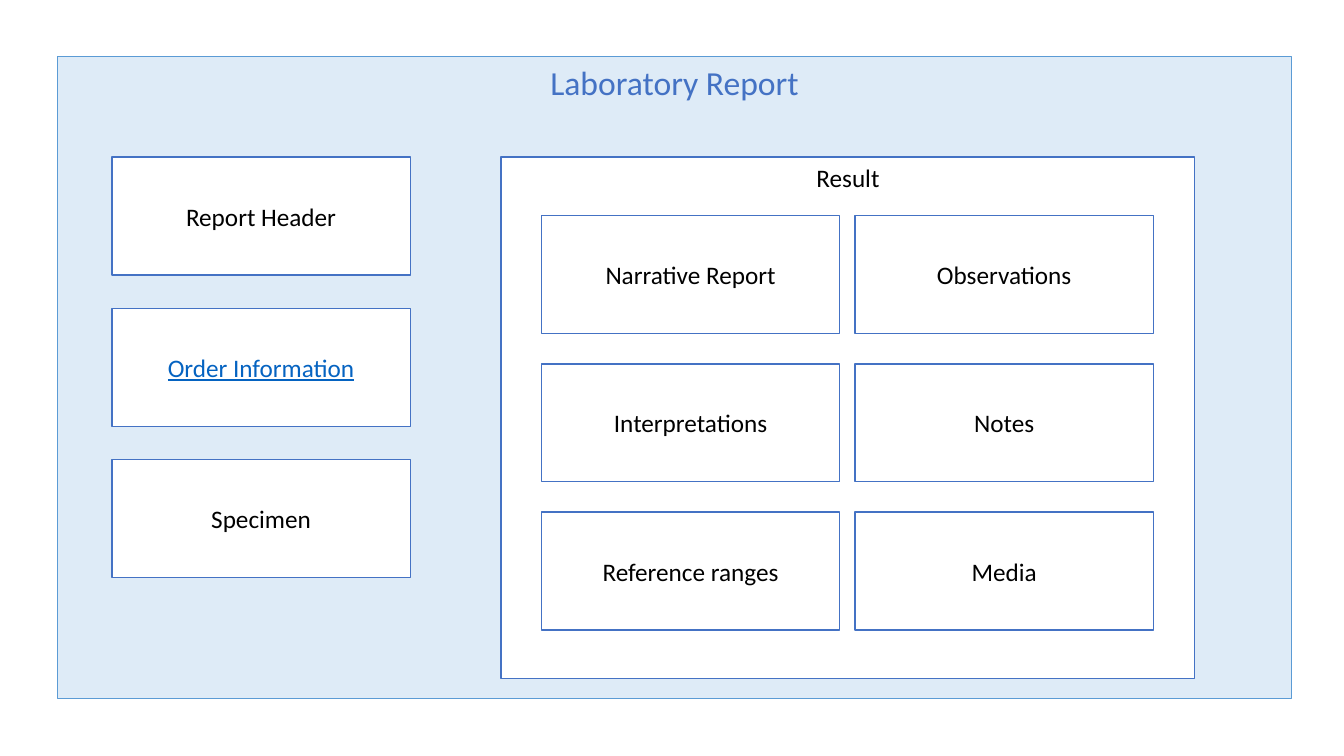
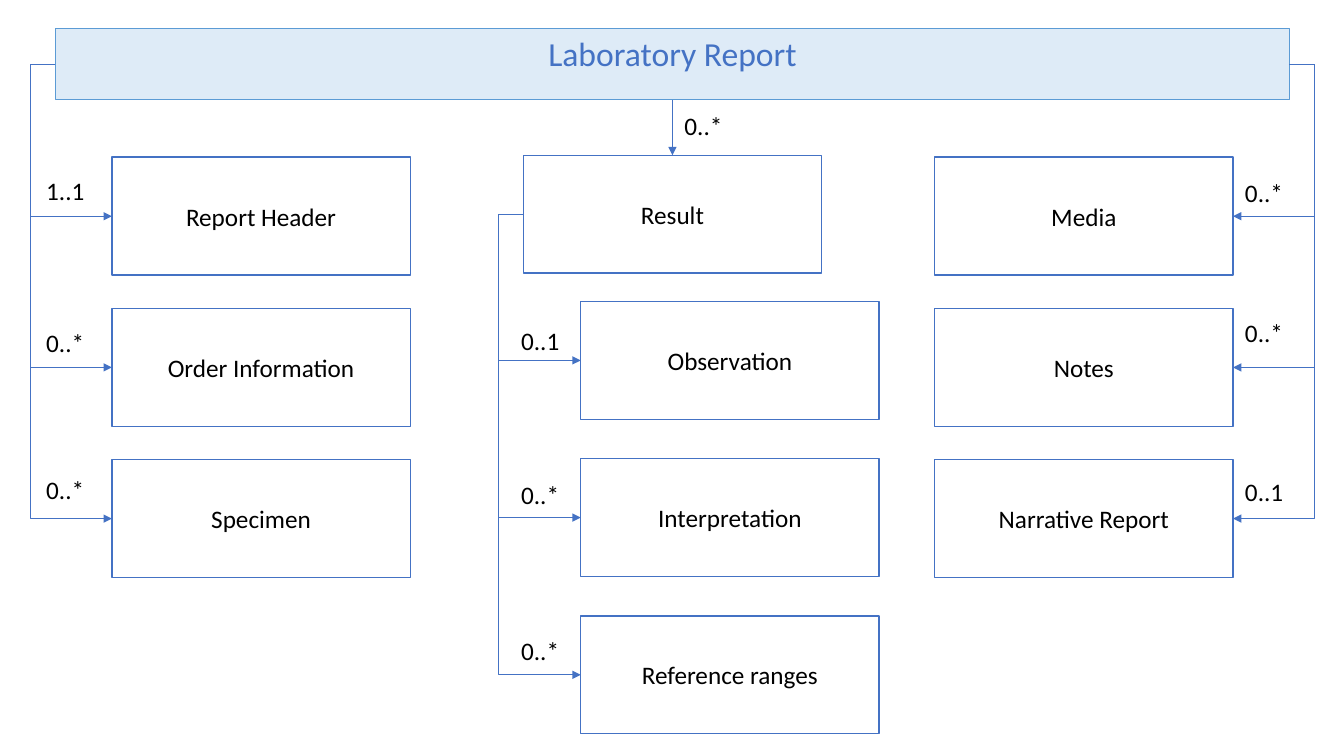
from pptx import Presentation
from pptx.dml.color import RGBColor
from pptx.enum.shapes import MSO_CONNECTOR, MSO_SHAPE
from pptx.enum.text import MSO_ANCHOR, MSO_AUTO_SIZE, PP_ALIGN
from pptx.oxml.ns import qn
from pptx.util import Inches, Pt
from lxml import etree

RECT = MSO_SHAPE.RECTANGLE
ELBOW, STRAIGHT = MSO_CONNECTOR.ELBOW, MSO_CONNECTOR.STRAIGHT
TOP, MIDDLE = MSO_ANCHOR.TOP, MSO_ANCHOR.MIDDLE
CENTER, LEFT = PP_ALIGN.CENTER, PP_ALIGN.LEFT
NO_FIT = MSO_AUTO_SIZE.NONE

# Shared look
FONT = "Calibri"
BLUE, PANEL_FILL, PANEL_LINE = "4472C4", "DEEBF7", "5B9BD5"
WHITE, BLACK, LINK = "FFFFFF", "000000", "0563C1"

# Shared grid, in inches
TITLE_W = 12.24
BOX_W, BOX_H = 2.96, 1.17
LEFT_COL, FIRST_ROW, ROW_STEP = 1.11, 1.56, 1.5
SPINE_GAP = 0.25

# Connection sites of a rectangle
SITE_TOP, SITE_LEFT, SITE_BOTTOM, SITE_RIGHT = range(4)


def rgb(color):
    return RGBColor.from_string(color)


def paint(s, fill, line, width):
    s.fill.solid()
    s.fill.fore_color.rgb = rgb(fill)
    s.line.color.rgb = rgb(line)
    s.line.width = Pt(width)


def write(s, text, size=18, color=BLACK, anchor=MIDDLE, align=CENTER):
    tf = s.text_frame
    tf.word_wrap = True
    tf.auto_size = NO_FIT
    tf.vertical_anchor = anchor
    p = tf.paragraphs[0]
    p.text = text
    p.alignment = align
    p.font.name = FONT
    p.font.size = Pt(size)
    p.font.color.rgb = rgb(color)
    return p


def add_report_slide(prs, x, y, height):
    """Add a slide whose title is the report's own panel."""
    slide = prs.slides.add_slide(prs.slide_layouts[5])
    title = slide.shapes.title
    title.left, title.top = Inches(x), Inches(y)
    title.width, title.height = Inches(TITLE_W), Inches(height)
    paint(title, PANEL_FILL, PANEL_LINE, 0.5)
    write(title, "Laboratory Report", 24, BLUE, TOP)
    return slide, title


def add_box(slide, text, x, y, w=BOX_W, h=BOX_H, anchor=MIDDLE):
    s = slide.shapes.add_shape(RECT, Inches(x), Inches(y), Inches(w), Inches(h))
    s.shadow.inherit = False
    paint(s, WHITE, BLUE, 1)
    write(s, text, anchor=anchor)
    return s


def add_column(slide, texts, x, y=FIRST_ROW, step=ROW_STEP):
    return [add_box(slide, text, x, y + i * step) for i, text in enumerate(texts)]


def add_label(slide, text, x, y):
    s = slide.shapes.add_textbox(Inches(x), Inches(y), Inches(0.76), Inches(0.4))
    write(s, text, anchor=TOP, align=LEFT)


def add_arrow(slide, kind, start, start_site, end, end_site):
    c = slide.shapes.add_connector(kind, 0, 0, 0, 0)
    c.begin_connect(start, start_site)
    c.end_connect(end, end_site)
    c.line.color.rgb = rgb(BLUE)
    c.line.width = Pt(0.5)
    sp_pr = c._element.spPr
    etree.SubElement(sp_pr.find(qn("a:ln")), qn("a:tailEnd"), type="triangle")
    etree.SubElement(sp_pr, qn("a:effectLst"))
    return c


def add_branch(slide, parent, child, site):
    """Join the same side of two boxes by way of a spine outside the parent."""
    c = add_arrow(slide, ELBOW, parent, site, child, site)
    bend = round(-Inches(SPINE_GAP) / c.width * 100000)
    guides = c._element.spPr.find(qn("a:prstGeom")).get_or_add_avLst()
    etree.SubElement(guides, qn("a:gd"), name="adj1", fmla=f"val {bend}")


def add_branches(slide, parent, children, site, labels, label_x):
    for child, (text, label_y) in zip(children, labels):
        add_branch(slide, parent, child, site)
        add_label(slide, text, label_x, label_y)


def build_contents(prs):
    slide, _ = add_report_slide(prs, 0.57, 0.56, 6.37)
    boxes = add_column(slide, ["Report Header", "Order Information", "Specimen"], LEFT_COL)
    font = boxes[1].text_frame.paragraphs[0].font
    font.color.rgb = rgb(LINK)
    font.underline = True

    # Result panel with its two columns
    add_box(slide, "Result", 4.97, FIRST_ROW, 6.88, 5.17, TOP)
    columns = [
        ["Narrative Report", "Interpretations", "Reference ranges"],
        ["Observations", "Notes", "Media"],
    ]
    for i, texts in enumerate(columns):
        add_column(slide, texts, 5.37 + i * (BOX_W + 0.15), 2.14, 1.47)


def build_relations(prs):
    slide, report = add_report_slide(prs, 0.55, 0.28, 0.71)

    # Boxes
    left = add_column(slide, ["Report Header", "Order Information", "Specimen"], LEFT_COL)
    result = add_box(slide, "Result", 5.19, 1.54)
    parts = add_column(
        slide, ["Observation", "Interpretation", "Reference ranges"], 5.76, 2.99, 1.56)
    right = add_column(slide, ["Media", "Notes", "Narrative Report"], 9.27)

    # Arrows and how many of each
    add_arrow(slide, STRAIGHT, report, SITE_BOTTOM, result, SITE_TOP)
    add_label(slide, "0..*", 6.69, 1.05)
    add_branches(slide, report, left, SITE_LEFT,
                 [("1..1", 1.69), ("0..*", 3.2), ("0..*", 4.66)], 0.36)
    add_branches(slide, result, parts, SITE_LEFT,
                 [("0..1", 3.18), ("0..*", 4.71), ("0..*", 6.25)], 5.07)
    add_branches(slide, report, right, SITE_RIGHT,
                 [("0..*", 1.71), ("0..*", 3.1), ("0..1", 4.68)], 12.25)


def main():
    prs = Presentation()
    prs.slide_width, prs.slide_height = Inches(13.33), Inches(7.5)
    build_contents(prs)
    build_relations(prs)
    prs.save("out.pptx")


if __name__ == "__main__":
    main()
